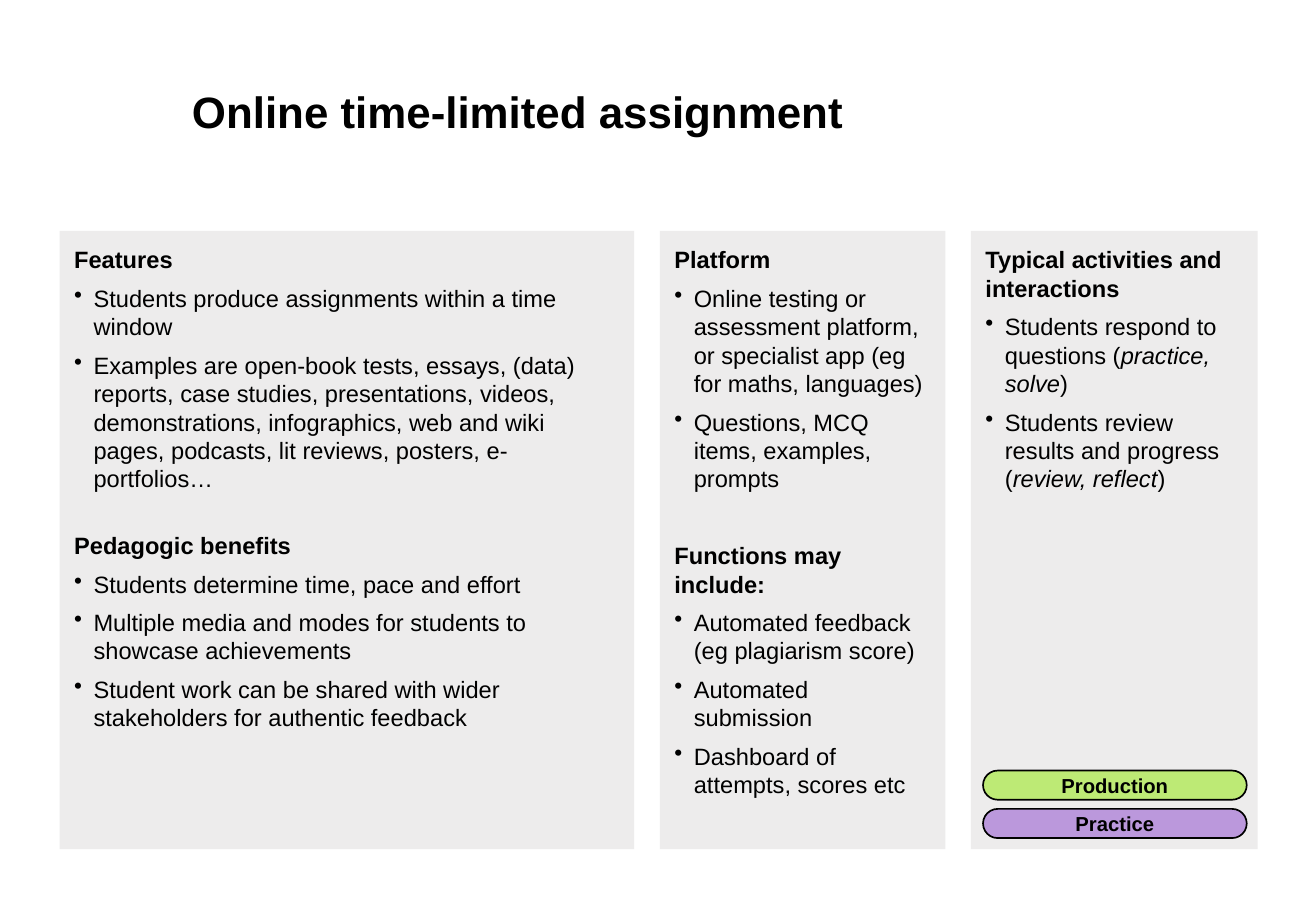
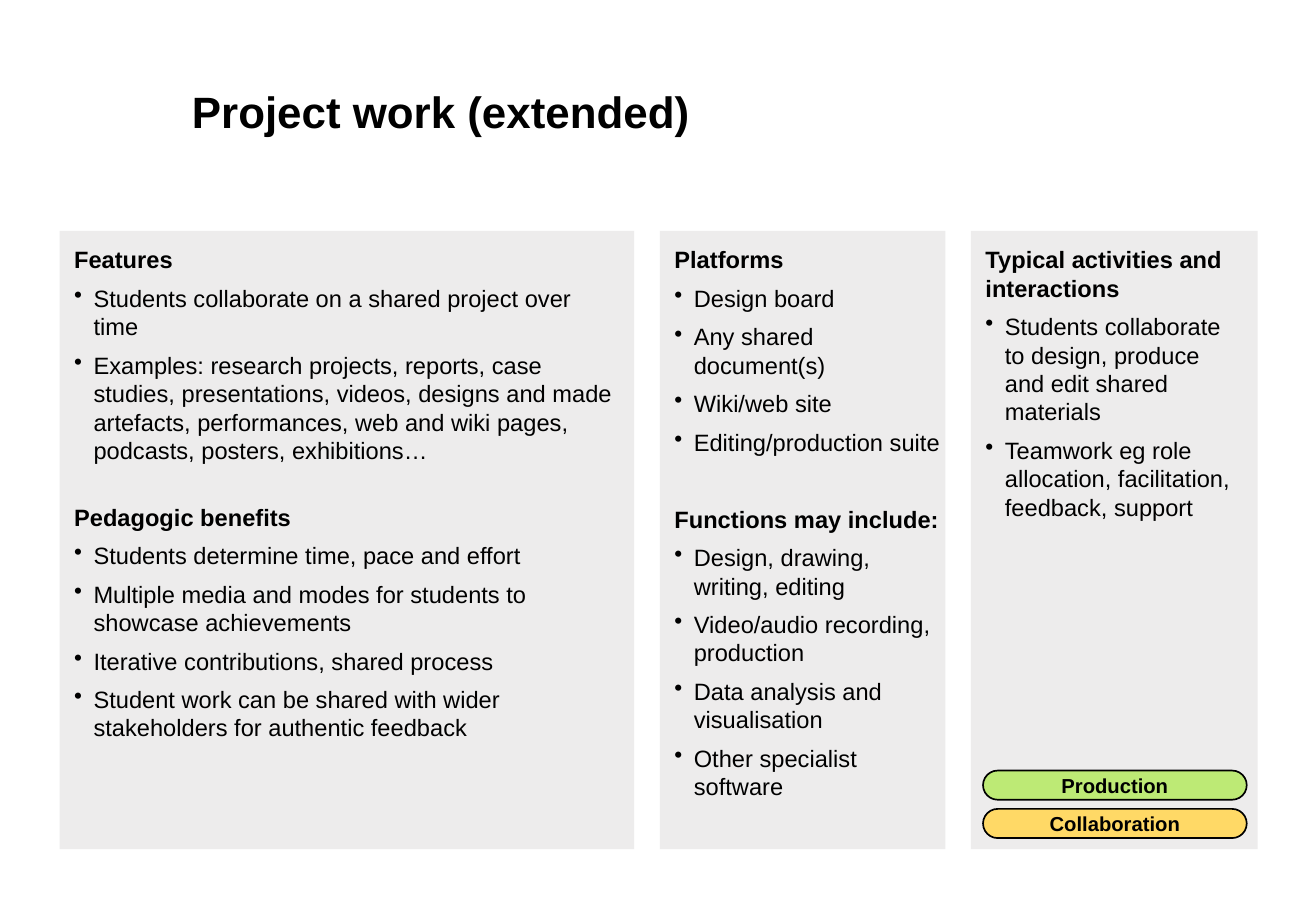
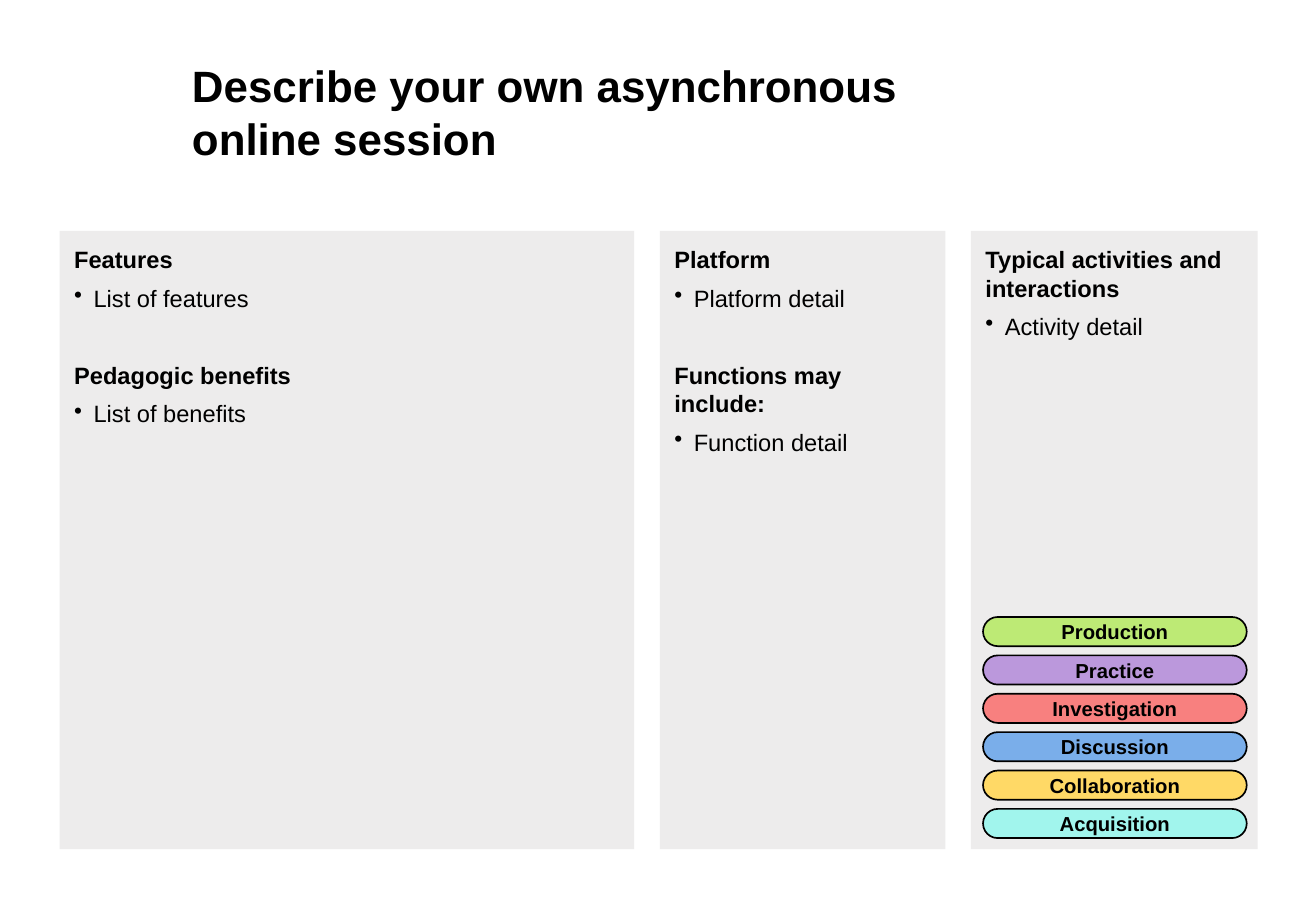
import pptx
import pptx.util
import pptx.dml.color
import pptx.enum.shapes
import pptx.enum.text
import lxml.etree

Inches, Pt = pptx.util.Inches, pptx.util.Pt
RGB = pptx.dml.color.RGBColor.from_string
MSO_SHAPE = pptx.enum.shapes.MSO_SHAPE
ALIGN = pptx.enum.text.PP_ALIGN
ANCHOR = pptx.enum.text.MSO_ANCHOR

FONT = "Arial"
COLORS = {
    "ink": "000000",
    "panel": "EDECEC",
    "Production": "BDEA75",
    "Practice": "BB98DC",
    "Investigation": "F8807F",
    "Discussion": "7AAEEA",
    "Collaboration": "FFD966",
    "Acquisition": "A1F5ED",
}
LEFT, TOP, HEIGHT, GAP = 0.49, 1.9, 5.09, 0.21
WIDTHS = [4.73, 2.35, 2.36]
COLS = [LEFT + sum(WIDTHS[:i]) + i * GAP for i in range(len(WIDTHS))]
INSET, INDENT = 0.12, 0.16
BODY, TITLE, LABEL, LEADING = 14, 26, 12, 1.2
TIGHT, LOOSE = 22.8, 28.8
PILL_LEFT, PILL_BOTTOM, PILL_W, PILL_H, PILL_STEP = 8.09, 6.66, 2.17, 0.24, 0.316

ACTIVITIES = "Typical activities and interactions"
SLIDES = [
    {
        "title": "Online time-limited assignment",
        "title_width": 7.09,
        "gaps": [TIGHT, LOOSE, LOOSE],
        "right_insets": [INSET, INSET, INSET],
        "panels": [
            [("Features", [
                "Students produce assignments within a time window",
                "Examples are open-book tests, essays, (data) reports, case studies, "
                "presentations, videos, demonstrations, infographics, web and wiki pages, "
                "podcasts, lit reviews, posters, e-portfolios…"]),
             ("Pedagogic benefits", [
                "Students determine time, pace and effort",
                "Multiple media and modes for students to showcase achievements",
                "Student work can be shared with wider stakeholders for authentic feedback"])],
            [("Platform", [
                "Online testing or assessment platform, or specialist app "
                "(eg for maths, languages)",
                "Questions, MCQ items, examples, prompts"]),
             ("Functions may include:", [
                "Automated feedback (eg plagiarism score)",
                "Automated submission",
                "Dashboard of attempts, scores etc"])],
            [(ACTIVITIES, [
                "Students respond to questions (*practice, solve*)",
                "Students review results and progress (*review, reflect*)"])],
        ],
        "pills": ["Production", "Practice"],
    },
    {
        "title": "Project work (extended)",
        "title_width": 7.09,
        "gaps": [TIGHT, LOOSE, LOOSE],
        "right_insets": [INSET, 0.04, INSET],
        "panels": [
            [("Features", [
                "Students collaborate on a shared project over time",
                "Examples: research projects, reports, case studies, presentations, videos, "
                "designs and made artefacts, performances, web and wiki pages, podcasts, "
                "posters, exhibitions…"]),
             ("Pedagogic benefits", [
                "Students determine time, pace and effort",
                "Multiple media and modes for students to showcase achievements",
                "Iterative contributions, shared process",
                "Student work can be shared with wider stakeholders for authentic feedback"])],
            [("Platforms", [
                "Design board",
                "Any shared document(s)",
                "Wiki/web site",
                "Editing/production suite"]),
             ("Functions may include:", [
                "Design, drawing, writing, editing",
                "Video/audio recording, production",
                "Data analysis and visualisation",
                "Other specialist software"])],
            [(ACTIVITIES, [
                "Students collaborate to design, produce and edit shared materials",
                "Teamwork eg role allocation, facilitation, feedback, support"])],
        ],
        "pills": ["Production", "Collaboration"],
    },
    {
        "title": "Describe your own asynchronous online session",
        "title_width": 6.32,
        "gaps": [LOOSE, LOOSE, LOOSE],
        "right_insets": [INSET, INSET, INSET],
        "panels": [
            [("Features", ["List of features"]),
             ("Pedagogic benefits", ["List of benefits"])],
            [("Platform", ["Platform detail"]),
             ("Functions may include:", ["Function detail"])],
            [(ACTIVITIES, ["Activity detail"])],
        ],
        "pills": ["Production", "Practice", "Investigation",
                  "Discussion", "Collaboration", "Acquisition"],
    },
]


def set_frame(sp, anchor, left, top, right, bottom):
    tf = sp.text_frame
    tf.word_wrap = True
    tf.auto_size = pptx.enum.text.MSO_AUTO_SIZE.NONE
    tf.vertical_anchor = anchor
    tf.margin_left, tf.margin_top = Inches(left), Inches(top)
    tf.margin_right, tf.margin_bottom = Inches(right), Inches(bottom)
    return tf


def write(p, text, size, bold, align=ALIGN.LEFT):
    p.alignment = align
    p.line_spacing = Pt(size * LEADING)
    for i, part in enumerate(text.split("*")):
        r = p.add_run()
        r.text = part
        r.font.name, r.font.size, r.font.bold = FONT, Pt(size), bold
        r.font.italic = i % 2 == 1
        r.font.color.rgb = RGB(COLORS["ink"])


prs = pptx.Presentation()
prs.slide_width, prs.slide_height = Inches(10.83), Inches(7.5)

for page in SLIDES:
    s = prs.slides.add_slide(prs.slide_layouts[5])
    sp = s.shapes.title
    sp.left, sp.top = Inches(1.28), Inches(0.52)
    sp.width, sp.height = Inches(page["title_width"]), Inches(0.79)
    tf = set_frame(sp, ANCHOR.MIDDLE, 0.3, 0, 0, 0)
    write(tf.paragraphs[0], page["title"], TITLE, True)

    for x, w, gap, right, sections in zip(
            COLS, WIDTHS, page["gaps"], page["right_insets"], page["panels"]):
        sp = s.shapes.add_shape(MSO_SHAPE.RECTANGLE, Inches(x), Inches(TOP),
                                Inches(w), Inches(HEIGHT))
        sp.shadow.inherit = False
        sp.fill.solid()
        sp.fill.fore_color.rgb = RGB(COLORS["panel"])
        sp.line.fill.background()
        tf = set_frame(sp, ANCHOR.TOP, INSET, INSET, right, INSET)
        for i, (heading, items) in enumerate(sections):
            p = tf.add_paragraph() if i else tf.paragraphs[0]
            p.space_before = Pt(gap if i else 6)
            write(p, heading, BODY, True)
            for item in items:
                p = tf.add_paragraph()
                p.space_before = Pt(6)
                write(p, item, BODY, False)
                pPr = p._p.get_or_add_pPr()
                pPr.set("marL", str(Inches(INDENT)))
                pPr.set("indent", str(-Inches(INDENT)))
                bullet = lxml.etree.SubElement(pPr, pptx.oxml.ns.qn("a:buChar"))
                bullet.set("char", "•")

    for i, name in enumerate(reversed(page["pills"])):
        sp = s.shapes.add_shape(MSO_SHAPE.ROUNDED_RECTANGLE, Inches(PILL_LEFT),
                                Inches(PILL_BOTTOM - i * PILL_STEP),
                                Inches(PILL_W), Inches(PILL_H))
        sp.adjustments[0] = 0.5
        sp.shadow.inherit = False
        sp.fill.solid()
        sp.fill.fore_color.rgb = RGB(COLORS[name])
        sp.line.color.rgb = RGB(COLORS["ink"])
        sp.line.width = Pt(1)
        tf = set_frame(sp, ANCHOR.MIDDLE, 0.2, 0.05, 0.2, 0.05)
        write(tf.paragraphs[0], name, LABEL, True, ALIGN.CENTER)

prs.save("out.pptx")
